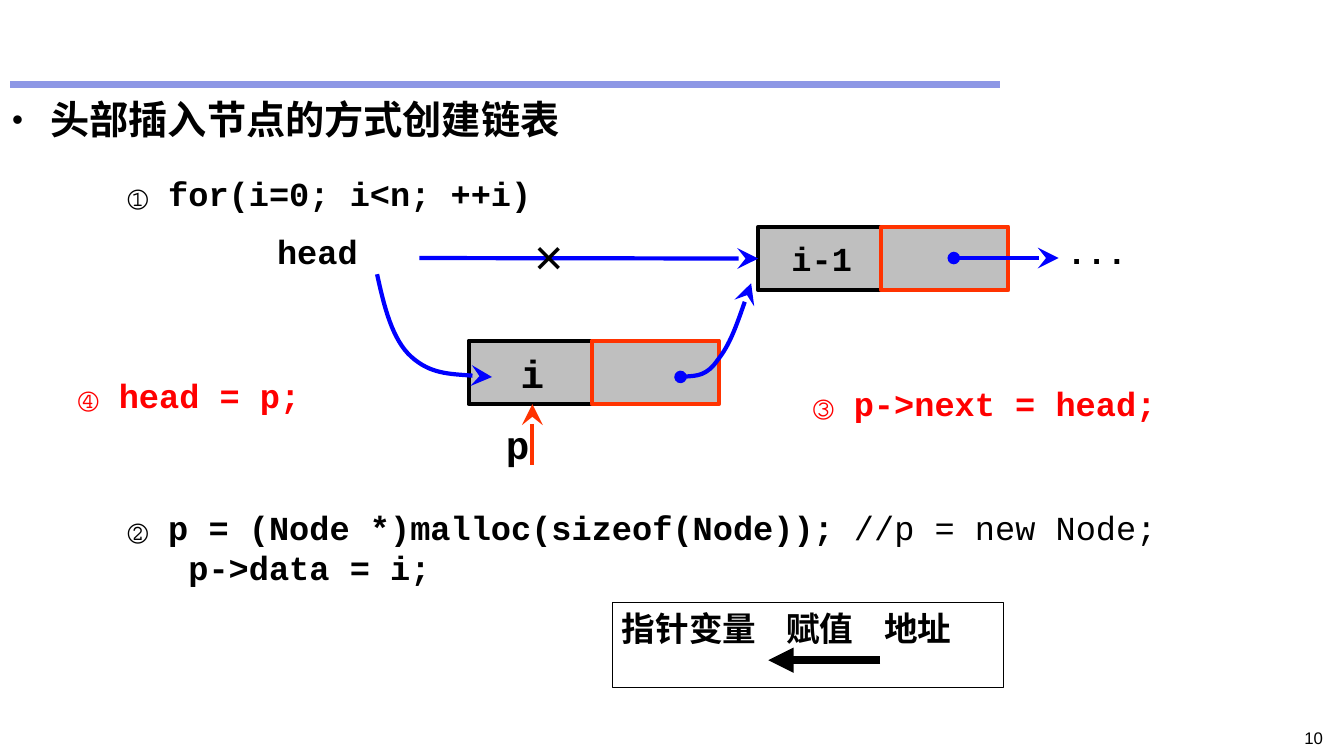
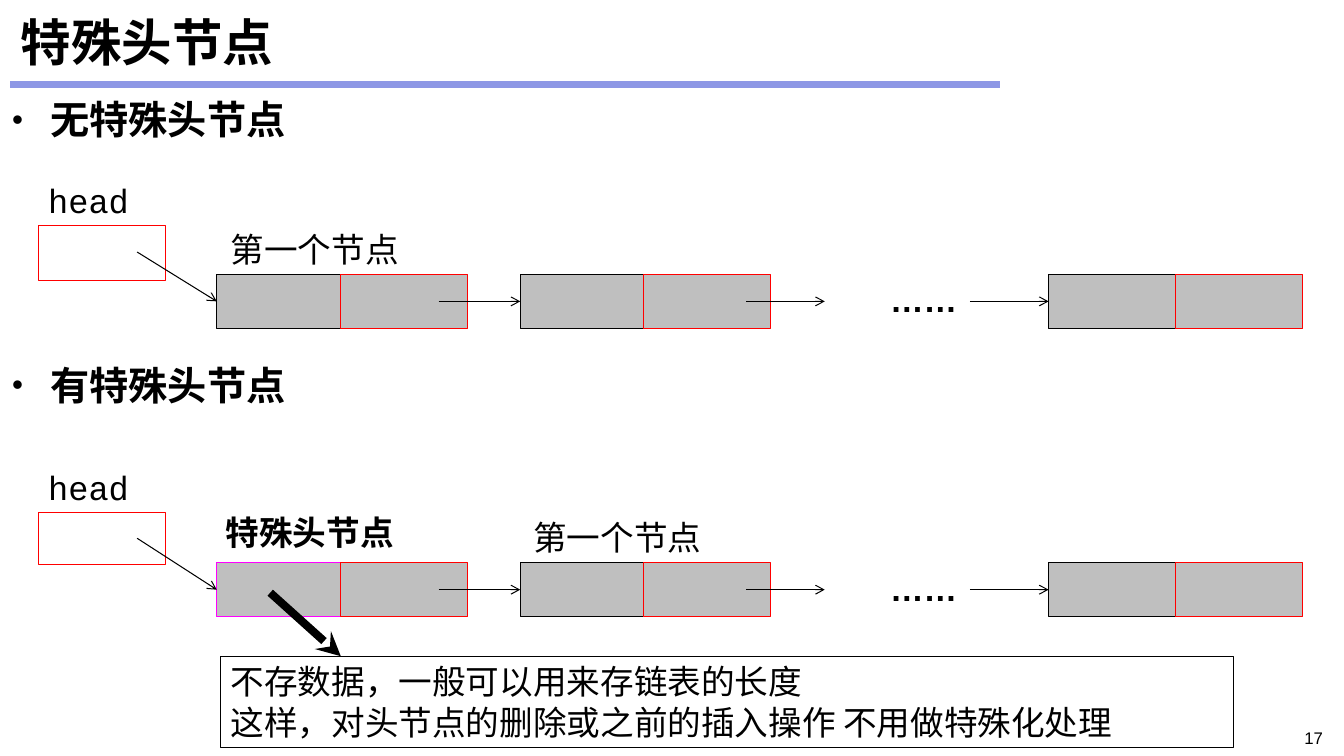
from dataclasses import dataclass, replace

from lxml import etree
from pptx import Presentation
from pptx.dml.color import RGBColor
from pptx.enum.shapes import MSO_CONNECTOR, MSO_SHAPE
from pptx.enum.text import MSO_ANCHOR, PP_ALIGN
from pptx.oxml.ns import qn
from pptx.util import Emu, Pt

PX = 9144  # 100 px to the inch
STRAIGHT, RECT = MSO_CONNECTOR.STRAIGHT, MSO_SHAPE.RECTANGLE
LEFT, CENTER, RIGHT = PP_ALIGN.LEFT, PP_ALIGN.CENTER, PP_ALIGN.RIGHT
TOP, MIDDLE = MSO_ANCHOR.TOP, MSO_ANCHOR.MIDDLE
SIDE_LEFT, SIDE_BOTTOM = 1, 2

BLACK, WHITE, GRAY, RULE = "000000", "FFFFFF", "BFBFBF", "8D97E5"
RED, ORANGE, BLUE, MAGENTA = "FF0000", "FF3300", "0000FF", "FF00FF"
ARIAL, MONO, CJK = "Arial", "Courier New", "Noto Sans CJK SC"


@dataclass(frozen=True)
class Style:
    size: int
    font: str = MONO
    bold: bool = False
    color: str = BLACK


@dataclass(frozen=True)
class Box:
    x: int
    y: int
    w: int
    h: int


@dataclass(frozen=True)
class Label:
    text: str
    box: Box
    style: Style


TITLE, BULLET = Style(36, CJK, True), Style(28, CJK, True)
CODE, CODE_BIG = Style(24, bold=True), Style(28, bold=True)
CODE_RED, CODE_PLAIN = replace(CODE, color=RED), Style(24)
NOTE, NOTE_BOLD, NUMBER = Style(24, ARIAL), Style(24, ARIAL, True), Style(12, ARIAL)


def px(n: int) -> Emu:
    return Emu(n * PX)


def rgb(color: str) -> RGBColor:
    return RGBColor.from_string(color)


def place(box: Box) -> list[Emu]:
    return [px(n) for n in (box.x, box.y, box.w, box.h)]


# Text
def format_run(r, style: Style) -> None:
    f = r.font
    f.size, f.bold, f.name = Pt(style.size), style.bold, style.font
    f.color.rgb = rgb(style.color)
    if style.font == CJK:
        r._r.get_or_add_rPr().find(qn("a:latin")).addnext(
            etree.Element(qn("a:ea"), typeface=CJK))


def write(sp, text: str, style: Style, align=LEFT, anchor=TOP) -> None:
    tf = sp.text_frame
    tf.word_wrap, tf.vertical_anchor = True, anchor
    tf.text = text
    for p in tf.paragraphs:
        p.alignment = align
        for r in p.runs:
            format_run(r, style)


def label(s, text: str, box: Box, style: Style, align=LEFT, anchor=TOP):
    sp = s.shapes.add_textbox(*place(box))
    write(sp, text, style, align, anchor)
    return sp


def bullets(s, items: list[str], gap: int = 0) -> None:
    sp = label(s, "\n".join(items), Box(10, 94, 1312, 651), BULLET)
    tf = sp.text_frame
    tf.margin_left = tf.margin_right = px(2)
    tf.margin_top = tf.margin_bottom = px(1)
    for i, p in enumerate(tf.paragraphs):
        p.space_before = Pt(gap if i else 0)
        pPr = p._p.get_or_add_pPr()
        pPr.set("marL", str(px(38)))
        pPr.set("indent", str(px(-38)))
        etree.SubElement(pPr, qn("a:buSzPct"), val="80000")
        etree.SubElement(pPr, qn("a:buFont"), typeface=ARIAL)
        etree.SubElement(pPr, qn("a:buChar"), char="•")


# Shapes and lines
def rect(s, box: Box, fill: str | None, color: str | None, width: float = 0.75):
    sp = s.shapes.add_shape(RECT, *place(box))
    sp.shadow.inherit = False
    if fill:
        sp.fill.solid()
        sp.fill.fore_color.rgb = rgb(fill)
    else:
        sp.fill.background()
    if color:
        sp.line.color.rgb, sp.line.width = rgb(color), Pt(width)
    else:
        sp.line.fill.background()
    return sp


def stroke(sp, color: str, width: float, head: str, tail: str, size: str) -> None:
    sp.line.color.rgb, sp.line.width = rgb(color), Pt(width)
    ln = sp.line._get_or_add_ln()
    for tag, kind in (("a:headEnd", head), ("a:tailEnd", tail)):
        if kind:
            n = "med" if kind == "oval" else size
            etree.SubElement(ln, qn(tag), type=kind, w=n, len=n)


def line(s, x1: int, y1: int, x2: int, y2: int, color: str = BLACK,
         width: float = 0.75, head: str = "", tail: str = "", size: str = "med"):
    c = s.shapes.add_connector(STRAIGHT, px(x1), px(y1), px(x2), px(y2))
    stroke(c, color, width, head, tail, size)
    etree.SubElement(c._element.spPr, qn("a:effectLst"))
    return c


def curve(s, points: list[tuple[int, int]], head: str = "") -> None:
    """Draw Bezier segments: a start point, then three points a segment."""
    fb = s.shapes.build_freeform(*points[0], scale=PX)
    fb.add_line_segments(points[1:], close=False)
    sp = fb.convert_to_shape()
    sp.shadow.inherit = False
    sp.fill.background()
    stroke(sp, BLUE, 3, head, "stealth", "lg")
    steps = list(sp._element.iter(qn("a:lnTo")))
    for i in range(0, len(steps), 3):
        bezier = etree.Element(qn("a:cubicBezTo"))
        steps[i].addprevious(bezier)
        for step in steps[i:i + 3]:
            bezier.append(step[0])
            step.getparent().remove(step)


# Parts the slides share
def new_slide(prs, number: int, title: str = ""):
    s = prs.slides.add_slide(prs.slide_layouts[6])
    line(s, 10, 84, 992, 84, RULE, 4.5)
    if title:
        label(s, title, Box(11, 8, 1311, 67), TITLE, anchor=MIDDLE)
    label(s, str(number), Box(1191, 717, 131, 25), NUMBER, RIGHT)
    return s


# Slide 1: inserting at the head
def big_node(s, x: int, y: int, text: str, style: Style):
    data = rect(s, Box(x, y, 126, 63), GRAY, BLACK, 3)
    write(data, text, style, CENTER, MIDDLE)
    rect(s, Box(x + 122, y, 126, 63), GRAY, ORANGE, 3)
    return data


def head_insertion(prs) -> None:
    s = new_slide(prs, 10)
    bullets(s, ["头部插入节点的方式创建链表"])
    for item in (
        Label("① for(i=0; i<n; ++i)", Box(117, 167, 437, 50), CODE),
        Label("③ p->next = head;", Box(797, 375, 377, 50), CODE_RED),
        Label("④ head = p;", Box(68, 367, 256, 50), CODE_RED),
        Label("head", Box(265, 224, 110, 50), CODE),
        Label("...", Box(1048, 224, 90, 50), CODE),
        Label("p", Box(492, 412, 50, 57), CODE_BIG),
    ):
        label(s, item.text, item.box, item.style)
    sp = label(s, "② p = (Node *)malloc(sizeof(Node)); \n   p->data = i;",
               Box(117, 498, 1143, 91), CODE)
    r = sp.text_frame.paragraphs[0].add_run()
    r.text = "//p = new Node;"
    format_run(r, CODE_PLAIN)

    # Nodes and pointers
    old = big_node(s, 752, 225, "i-1", CODE)
    new = big_node(s, 465, 338, "i", CODE_BIG)
    line(s, 946, 256, 1050, 256, BLUE, 3, "oval", "stealth", "lg")
    c = line(s, 416, 256, 752, 256, BLUE, 3, tail="stealth", size="lg")
    c.end_connect(old, SIDE_LEFT)
    c = line(s, 528, 401, 528, 461, ORANGE, 3, head="stealth", size="lg")
    c.begin_connect(new, SIDE_BOTTOM)
    curve(s, [(675, 374), (688, 373), (701, 373), (712, 357),
              (724, 342), (735, 311), (745, 281)], "oval")
    curve(s, [(374, 272), (381, 304), (389, 337), (408, 354),
              (427, 371), (458, 372), (488, 374)])
    label(s, "×", Box(520, 218, 100, 70), Style(36, ARIAL))

    # Assignment legend
    sp = rect(s, Box(607, 598, 388, 84), None, BLACK)
    write(sp, "指针变量\t赋值\t地址", NOTE_BOLD)
    pPr = sp.text_frame.paragraphs[0]._p.get_or_add_pPr()
    tabs = etree.SubElement(pPr, qn("a:tabLst"))
    for stop in (163, 260):
        etree.SubElement(tabs, qn("a:tab"), pos=str(px(stop)), algn="l")
    line(s, 873, 655, 762, 655, BLACK, 6, tail="triangle")


# Slide 2: lists without and with a special head node
def linked_list(s, y: int, head: Box, first_color: str) -> None:
    middle = y + 27
    nodes = []
    for x, link_x, color in ((215, 338, first_color), (516, 638, BLACK),
                             (1040, 1166, BLACK)):
        nodes.append(rect(s, Box(x, y, 126, 54), GRAY, color))
        rect(s, Box(link_x, y, 126, 54), GRAY, RED)
    rect(s, head, WHITE, RED)
    label(s, "head", Box(head.x, head.y - 50, 126, 50), CODE_PLAIN)
    label(s, "……", Box(873, y, 125, 51), NOTE_BOLD)
    starts = ((136, head.y + 26), (435, middle), (962, middle))
    for (x, start_y), node in zip(starts, nodes):
        c = line(s, x, start_y, x + 79, middle, tail="arrow")
        c.end_connect(node, SIDE_LEFT)
    line(s, 740, middle, 818, middle, tail="arrow")


def special_head(prs) -> None:
    s = new_slide(prs, 17, "特殊头节点")
    bullets(s, ["无特殊头节点", "有特殊头节点"], gap=156)
    linked_list(s, 272, Box(38, 224, 126, 54), BLACK)
    linked_list(s, 558, Box(38, 508, 126, 52), MAGENTA)
    for item in (
        Label("第一个节点", Box(219, 222, 242, 50), CODE_PLAIN),
        Label("第一个节点", Box(519, 508, 242, 50), CODE_PLAIN),
        Label("特殊头节点", Box(214, 503, 242, 50), CODE),
    ):
        label(s, item.text, item.box, item.style)

    # Callout
    line(s, 268, 588, 338, 651, BLACK, 5.75, tail="stealth")
    sp = rect(s, Box(219, 651, 1004, 91), None, BLACK)
    write(sp, "不存数据，一般可以用来存链表的长度\n"
              "这样，对头节点的删除或之前的插入操作 不用做特殊化处理", NOTE)


def main() -> None:
    prs = Presentation()
    prs.slide_width, prs.slide_height = px(1333), px(750)
    head_insertion(prs)
    special_head(prs)
    prs.save("out.pptx")


if __name__ == "__main__":
    main()
